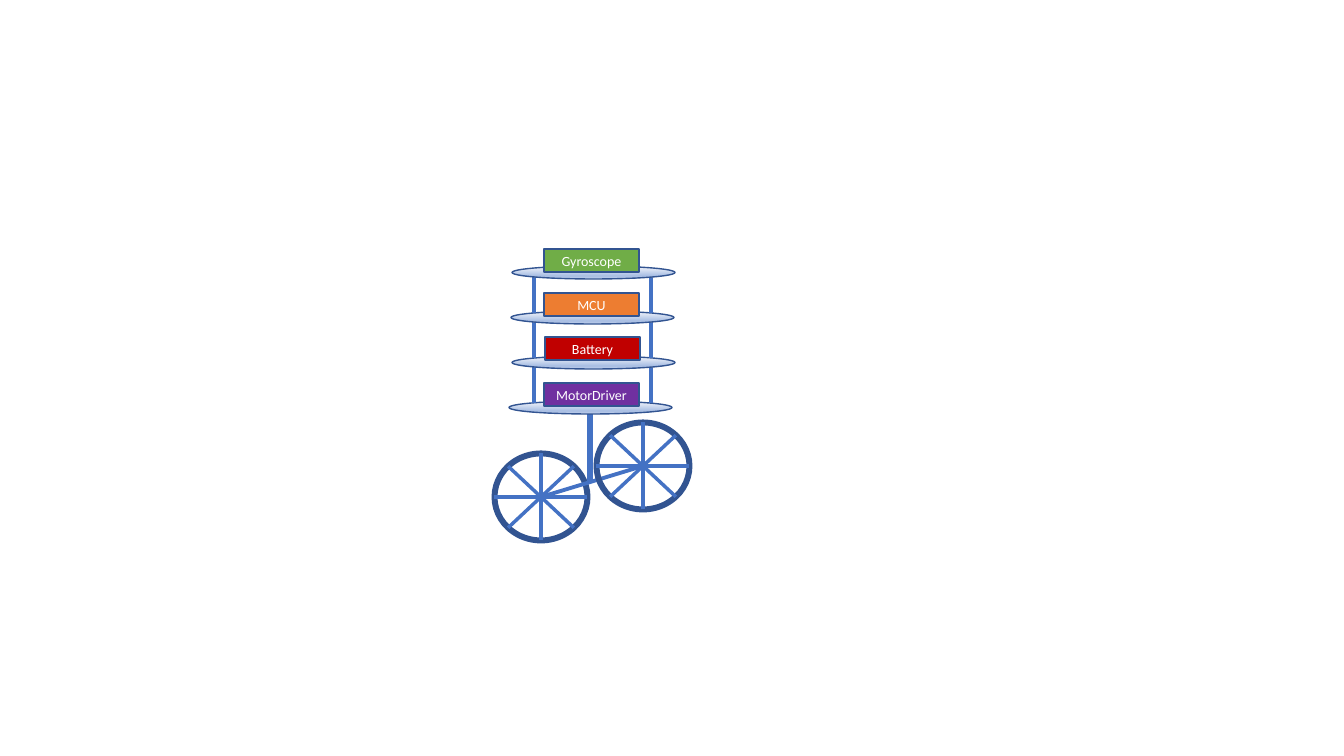
from dataclasses import dataclass
from math import cos, pi, sin

from lxml import etree
from pptx import Presentation
from pptx.dml.color import RGBColor
from pptx.enum.shapes import MSO_CONNECTOR, MSO_SHAPE
from pptx.enum.text import MSO_ANCHOR, PP_ALIGN
from pptx.oxml.ns import qn
from pptx.util import Emu, Pt

OVAL, RECTANGLE = MSO_SHAPE.OVAL, MSO_SHAPE.RECTANGLE
STRAIGHT = MSO_CONNECTOR.STRAIGHT
MIDDLE, CENTER = MSO_ANCHOR.MIDDLE, PP_ALIGN.CENTER
EMU_PER_PIXEL = 914400 / 100.8


@dataclass(frozen=True)
class Theme:
    font: str = "Calibri"
    label_size: float = 10
    text: str = "FFFFFF"
    outline: str = "325491"
    bar: str = "4472C4"
    tray_stops: tuple = ((0, "F6F8FC"), (74, "ABC0E4"), (83, "ABC0E4"), (100, "C7D5ED"))
    thin: float = 1
    pillar: float = 2.25
    spoke: float = 2.5
    axle: float = 2.75
    heavy: float = 4.25


@dataclass(frozen=True)
class Wheel:
    center_x: float
    center_y: float


@dataclass(frozen=True)
class Deck:
    component: str
    color: str
    tray_left: int
    label_left: int
    label_top: int


THEME = Theme()
WHEEL_WIDTH, WHEEL_HEIGHT = 93, 87
TRAY_WIDTH, TRAY_HEIGHT = 163, 13
LABEL_WIDTH, LABEL_HEIGHT = 95, 23
BOTTOM_TRAY_TOP, DECK_PITCH = 401, 45
PILLAR_XS, PILLAR_HEIGHT = (534, 651), 36
FRONT_WHEEL = Wheel(541, 497)
BACK_WHEEL = Wheel(643, 466)
DECKS = (  # from bottom to top
    Deck("MotorDriver", "7030A0", 509, 544, 383),
    Deck("Battery", "C00000", 512, 545, 337),
    Deck("MCU", "ED7D31", 511, 544, 293),
    Deck("Gyroscope", "70AD47", 512, 544, 249),
)


def px(pixels: float) -> Emu:
    return Emu(round(pixels * EMU_PER_PIXEL))


def apply(target, formats: dict) -> None:
    for name, value in formats.items():
        setattr(target, name, value)


def draw_shape(kind, left: float, top: float, width: float, height: float, weight: float):
    shape = slide.shapes.add_shape(kind, px(left), px(top), px(width), px(height))
    shape.shadow.inherit = False
    shape.line.color.rgb = RGBColor.from_string(THEME.outline)
    shape.line.width = Pt(weight)
    return shape


def draw_bar(x1: float, y1: float, x2: float, y2: float, weight: float) -> None:
    bar = slide.shapes.add_connector(STRAIGHT, px(x1), px(y1), px(x2), px(y2))
    bar.line.color.rgb = RGBColor.from_string(THEME.bar)
    bar.line.width = Pt(weight)
    etree.SubElement(bar._element.spPr, qn("a:effectLst"))


def draw_wheel(wheel: Wheel) -> None:
    x, y = wheel.center_x, wheel.center_y
    radius_x, radius_y = WHEEL_WIDTH / 2, WHEEL_HEIGHT / 2
    rim = draw_shape(OVAL, x - radius_x, y - radius_y, WHEEL_WIDTH, WHEEL_HEIGHT, THEME.heavy)
    rim.fill.background()
    for step in range(4):
        dx, dy = radius_x * cos(step * pi / 4), radius_y * sin(step * pi / 4)
        draw_bar(x - dx, y - dy, x + dx, y + dy, THEME.spoke)


def draw_tray(left: int, top: int) -> None:
    tray = draw_shape(OVAL, left, top, TRAY_WIDTH, TRAY_HEIGHT, THEME.thin)
    tray.fill.gradient()
    tray.fill.gradient_angle = 270
    stops = tray._element.spPr.find(qn("a:gradFill")).find(qn("a:gsLst"))
    for default_stop in list(stops):
        stops.remove(default_stop)
    for percent, color in THEME.tray_stops:
        stop = etree.SubElement(stops, qn("a:gs"), pos=str(percent * 1000))
        etree.SubElement(stop, qn("a:srgbClr"), val=color)


def draw_label(deck: Deck) -> None:
    label = draw_shape(RECTANGLE, deck.label_left, deck.label_top,
                       LABEL_WIDTH, LABEL_HEIGHT, THEME.thin)
    label.fill.solid()
    label.fill.fore_color.rgb = RGBColor.from_string(deck.color)
    frame = label.text_frame
    apply(frame, {"vertical_anchor": MIDDLE, "word_wrap": True, "margin_left": 0,
                  "margin_right": 0, "margin_top": 0, "margin_bottom": 0})
    paragraph = frame.paragraphs[0]
    paragraph.alignment = CENTER
    run = paragraph.add_run()
    run.text = deck.component
    apply(run.font, {"name": THEME.font, "size": Pt(THEME.label_size)})
    run.font.color.rgb = RGBColor.from_string(THEME.text)


presentation = Presentation()
apply(presentation, {"slide_width": px(1344), "slide_height": px(756)})
slide = presentation.slides.add_slide(presentation.slide_layouts[6])

# Wheels, axle and the post that carries the decks
draw_wheel(FRONT_WHEEL)
draw_bar(FRONT_WHEEL.center_x, FRONT_WHEEL.center_y,
         BACK_WHEEL.center_x, BACK_WHEEL.center_y, THEME.axle)
draw_bar(590, 482, 590, BOTTOM_TRAY_TOP + TRAY_HEIGHT, THEME.heavy)
draw_wheel(BACK_WHEEL)

# Decks, each with pillars up to the next one
for level, deck in enumerate(DECKS):
    tray_top = BOTTOM_TRAY_TOP - level * DECK_PITCH
    draw_tray(deck.tray_left, tray_top)
    draw_label(deck)
    if level < len(DECKS) - 1:
        foot = tray_top + 2
        for pillar_x in PILLAR_XS:
            draw_bar(pillar_x, foot, pillar_x, foot - PILLAR_HEIGHT, THEME.pillar)

presentation.save("out.pptx")
